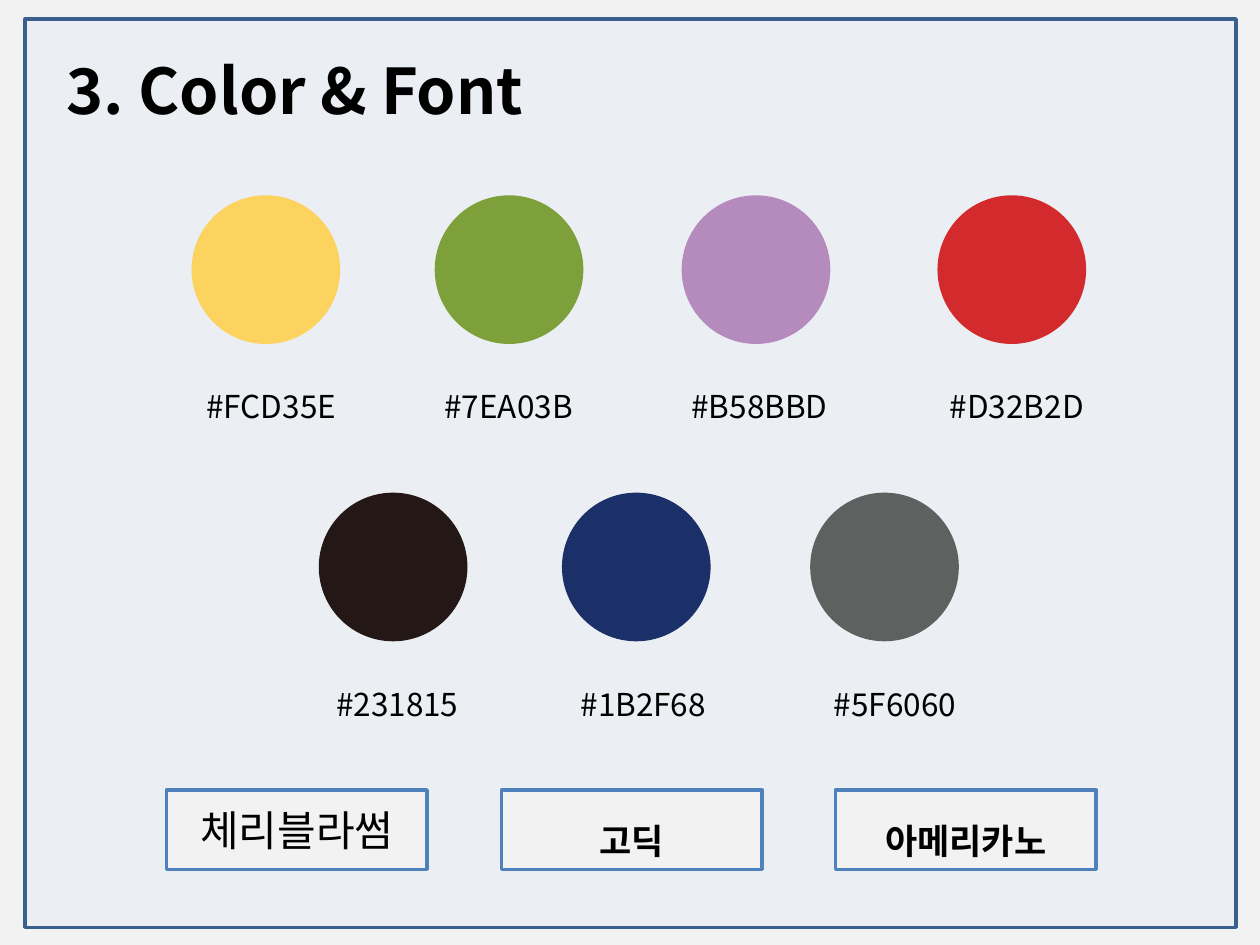
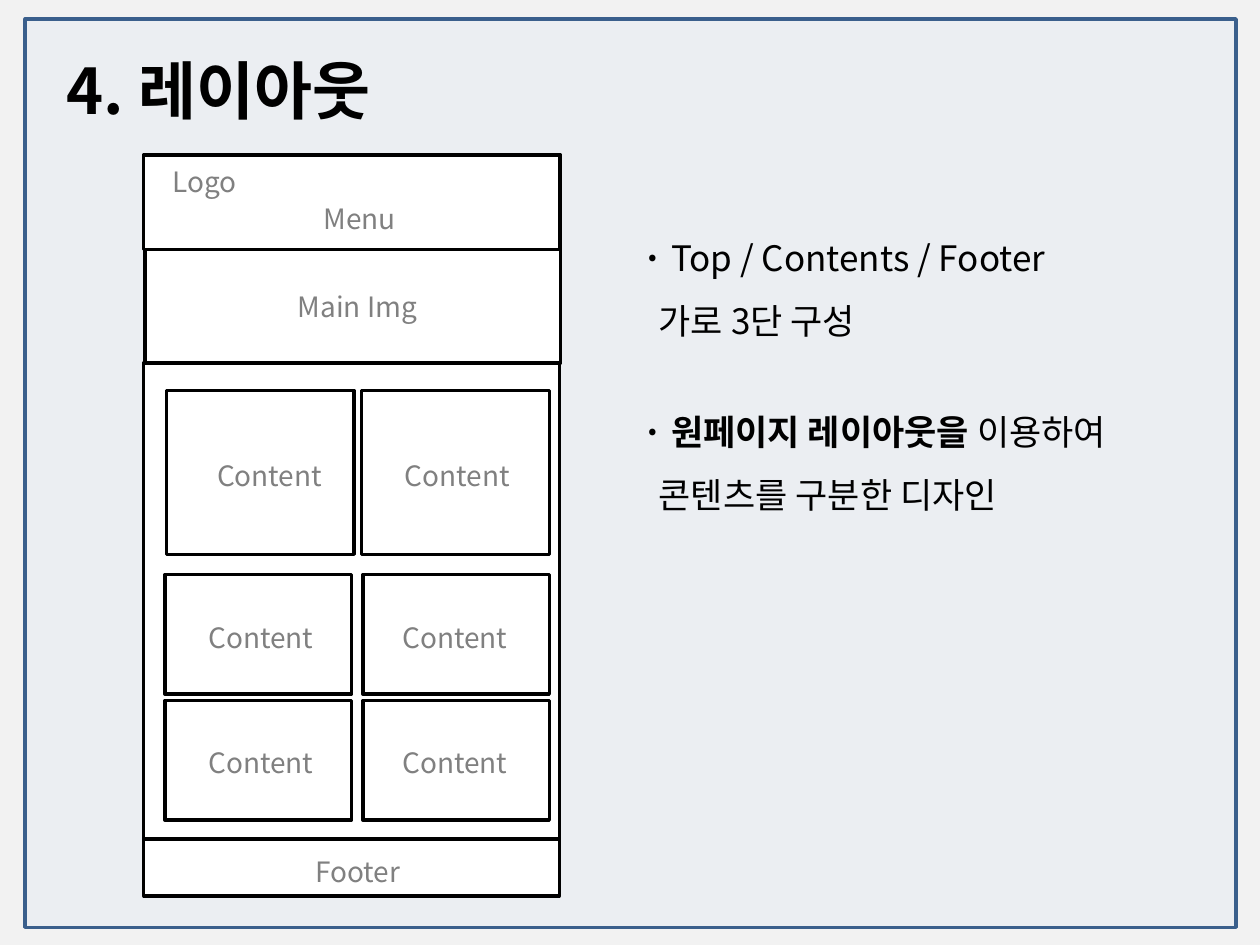
import pptx
import pptx.util
import pptx.dml.color
import pptx.enum.shapes
import pptx.enum.text
import pptx.oxml.ns
import lxml.etree

Inches = pptx.util.Inches
Pt = pptx.util.Pt
RGBColor = pptx.dml.color.RGBColor
MSO_SHAPE = pptx.enum.shapes.MSO_SHAPE
PP_ALIGN = pptx.enum.text.PP_ALIGN
qn = pptx.oxml.ns.qn

FONT = "Noto Sans CJK KR"
BLACK = RGBColor(0x00, 0x00, 0x00)
WHITE = RGBColor(0xFF, 0xFF, 0xFF)
GRAY = RGBColor(0x80, 0x80, 0x80)
PAPER = RGBColor(0xF2, 0xF2, 0xF2)
PANEL = RGBColor(0xDC, 0xE6, 0xF2)
PANEL_EDGE = RGBColor(0x3A, 0x5F, 0x8C)
BLUE = RGBColor(0x4F, 0x81, 0xBD)

YELLOW = RGBColor(0xFC, 0xD3, 0x5E)
GREEN = RGBColor(0x7E, 0xA0, 0x3B)
PURPLE = RGBColor(0xB5, 0x8B, 0xBD)
RED = RGBColor(0xD3, 0x2B, 0x2D)
DARK = RGBColor(0x23, 0x18, 0x15)
NAVY = RGBColor(0x1B, 0x2F, 0x68)
STONE = RGBColor(0x5F, 0x60, 0x60)


class Deck:
    """Holds the shared style and the current slide."""

    def __init__(self):
        self.prs = pptx.Presentation()
        self.prs.slide_width = Inches(10)
        self.prs.slide_height = Inches(7.5)
        self.slide = None

    def new_slide(self, title):
        self.slide = self.prs.slides.add_slide(self.prs.slide_layouts[6])
        fill = self.slide.background.fill
        fill.solid()
        fill.fore_color.rgb = PAPER
        # Translucent panel behind everything
        panel = self.shape(0.2, 0.15, 9.61, 7.21, PANEL, PANEL_EDGE)
        color = panel.fill._xPr.find(qn("a:solidFill"))[0]
        lxml.etree.SubElement(color, qn("a:alpha"), val="30000")
        # Title with a hanging number
        p = self.text(0.43, 0.36, 9.57, 0.71, title, 36, bold=True)
        self.indent(p, 0.5, -0.5)

    def shape(self, x, y, w, h, fill, line=None, kind=MSO_SHAPE.RECTANGLE):
        sp = self.slide.shapes.add_shape(
            kind, Inches(x), Inches(y), Inches(w), Inches(h))
        sp.shadow.inherit = False
        sp.fill.solid()
        sp.fill.fore_color.rgb = fill
        if line is None:
            sp.line.fill.background()
        else:
            sp.line.color.rgb = line
            sp.line.width = Pt(2)
        return sp

    def text_box(self, x, y, w, h):
        box = self.slide.shapes.add_textbox(
            Inches(x), Inches(y), Inches(w), Inches(h))
        tf = box.text_frame
        tf.word_wrap = True
        tf.auto_size = pptx.enum.text.MSO_AUTO_SIZE.SHAPE_TO_FIT_TEXT
        return tf

    def text(self, x, y, w, h, words, size, color=BLACK, **look):
        p = self.text_box(x, y, w, h).paragraphs[0]
        p.text = words
        self.format(p, size, color, **look)
        return p

    def format(self, p, size, color=BLACK, bold=False, align=PP_ALIGN.LEFT,
               spacing=None):
        p.alignment = align
        p.line_spacing = spacing
        for r in p.runs:
            r.font.name = FONT
            r.font.size = Pt(size)
            r.font.bold = bold
            r.font.color.rgb = color
            ea = lxml.etree.Element(qn("a:ea"), typeface=FONT)
            r.font._element.find(qn("a:latin")).addnext(ea)

    def indent(self, p, left, first=0):
        pPr = p._p.get_or_add_pPr()
        pPr.set("marL", str(Inches(left)))
        pPr.set("indent", str(Inches(first)))

    def swatch(self, x, y, color, label_x, label_y):
        self.shape(x, y, 1.18, 1.18, color, kind=MSO_SHAPE.OVAL)
        self.text(label_x, label_y, 1.5, 0.5, f"#{color}", 18, spacing=1.5)

    def font_box(self, x, words, size, **look):
        sp = self.shape(x, 6.27, 2.07, 0.63, PAPER, BLUE)
        tf = sp.text_frame
        tf.vertical_anchor = pptx.enum.text.MSO_ANCHOR.MIDDLE
        p = tf.paragraphs[0]
        p.text = words
        self.format(p, size, align=PP_ALIGN.CENTER, **look)

    def wire(self, x, y, w, h):
        self.shape(x, y, w, h, WHITE, BLACK)

    def wire_label(self, x, y, w, words):
        self.text(x, y, w, 0.37, words, 16, GRAY, align=PP_ALIGN.CENTER)

    def point(self, y, first_line, second_line):
        """A bulleted line of (words, bold) runs and a line under it."""
        tf = self.text_box(5, y, 4.8, 1.11)
        p = tf.paragraphs[0]
        for words, _ in first_line:
            p.add_run().text = words
        self.format(p, 20, spacing=1.5)
        for r, (_, bold) in zip(p.runs, first_line):
            r.font.bold = bold
        p = tf.add_paragraph()
        p.text = second_line
        self.format(p, 20, spacing=1.5)
        self.indent(p, 0.13)


def color_slide(deck):
    deck.new_slide("3. Color & Font")
    # Colour swatches: circle left, colour, label left
    rows = [
        (1.55, 2.87, [(1.52, YELLOW, 1.54), (3.45, GREEN, 3.43),
                      (5.41, PURPLE, 5.39), (7.44, RED, 7.44)]),
        (3.91, 5.24, [(2.53, DARK, 2.57), (4.46, NAVY, 4.51),
                      (6.43, STONE, 6.52)]),
    ]
    for y, label_y, swatches in rows:
        for x, color, label_x in swatches:
            deck.swatch(x, y, color, label_x, label_y)
    # Font samples
    deck.font_box(1.32, "체리블라썸", 24)
    deck.font_box(3.98, "고딕", 20, bold=True, spacing=1.5)
    deck.font_box(6.63, "아메리카노", 20, bold=True, spacing=1.5)


def layout_slide(deck):
    deck.new_slide("4. 레이아웃")
    # Page body and footer
    deck.wire(1.14, 2.88, 3.3, 3.82)
    deck.wire(1.14, 6.66, 3.3, 0.45)
    deck.wire_label(2.25, 6.73, 1.18, "Footer")
    # Content cells: top, height, label top, (left, width, label left)
    rows = [
        (3.1, 1.3, 3.59, [(1.32, 1.49, 1.54), (2.87, 1.49, 3.03)]),
        (4.56, 0.95, 4.88, [(1.31, 1.48, 1.47), (2.88, 1.48, 3.01)]),
        (5.56, 0.95, 5.87, [(1.31, 1.48, 1.47), (2.88, 1.48, 3.01)]),
    ]
    for y, h, label_y, cells in rows:
        for x, w, label_x in cells:
            deck.wire(x, y, w, h)
            deck.wire_label(label_x, label_y, 1.2, "Content")
    # Main image and top bar
    deck.wire(1.15, 1.23, 3.3, 1.65)
    deck.wire_label(2.04, 2.25, 1.59, "Main Img")
    deck.wire(1.14, 1.23, 3.3, 0.75)
    deck.wire_label(1.14, 1.26, 0.97, "Logo")
    deck.wire_label(2.27, 1.55, 1.17, "Menu")
    # Explanation
    deck.point(1.66, [("· ", True), ("Top / Contents / Footer", False)],
               "가로 3단 구성")
    deck.point(3.04, [("· 원페이지 레이아웃을", True), (" 이용하여", False)],
               "콘텐츠를 구분한 디자인")


def main():
    deck = Deck()
    color_slide(deck)
    layout_slide(deck)
    deck.prs.save("out.pptx")


if __name__ == "__main__":
    main()
